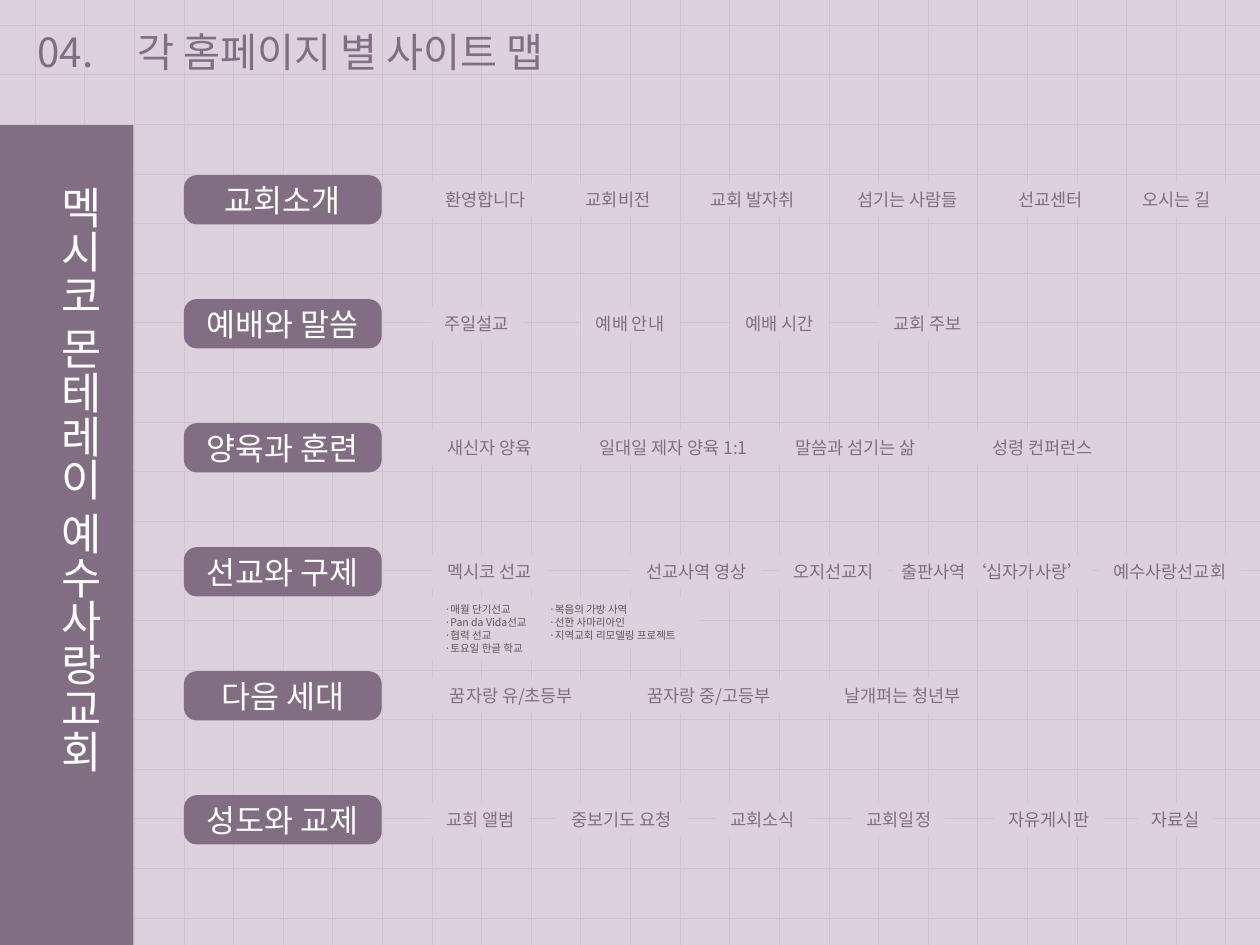
from lxml import etree
from pptx import Presentation
from pptx.dml.color import RGBColor
from pptx.enum.shapes import MSO_CONNECTOR, MSO_SHAPE
from pptx.enum.text import MSO_ANCHOR, MSO_AUTO_SIZE, PP_ALIGN
from pptx.oxml.ns import qn
from pptx.util import Inches, Pt

RECT, ROUND = MSO_SHAPE.RECTANGLE, MSO_SHAPE.ROUNDED_RECTANGLE
STRAIGHT = MSO_CONNECTOR.STRAIGHT
MIDDLE, NO_FIT = MSO_ANCHOR.MIDDLE, MSO_AUTO_SIZE.NONE
LEFT, CENTER = PP_ALIGN.LEFT, PP_ALIGN.CENTER


class Theme:
    font = "Noto Sans CJK KR"
    paper = RGBColor(0xDC, 0xD1, 0xDC)
    grid = RGBColor(0xCF, 0xC5, 0xCF)
    plum = RGBColor(0x82, 0x6E, 0x82)
    white = RGBColor(0xFF, 0xFF, 0xFF)
    gray = RGBColor(0x59, 0x59, 0x59)
    title, church, menu, item, detail = Pt(23), Pt(25), Pt(18), Pt(10), Pt(6)
    detail_line = Pt(7.3)


def add_line(shapes, x1, y1, x2, y2):
    ln = shapes.add_connector(STRAIGHT, Inches(x1), Inches(y1), Inches(x2), Inches(y2))
    ln.line.color.rgb = Theme.grid
    ln.line.width = Pt(0.5)
    etree.SubElement(ln._element.spPr, qn("a:effectLst"))


def write(sp, lines, size, color, align=LEFT, spacing=None):
    tf = sp.text_frame
    tf.word_wrap = False
    tf.auto_size = NO_FIT
    tf.vertical_anchor = MIDDLE
    tf.text = "\n".join(lines)
    for p in tf.paragraphs:
        p.alignment = align
        if spacing:
            p.line_spacing = spacing
        p.font.size = size
        p.font.color.rgb = color
        p.font.name = Theme.font
        etree.SubElement(p._p.pPr.find(qn("a:defRPr")), qn("a:ea"), typeface=Theme.font)


prs = Presentation()
prs.slide_width, prs.slide_height = Inches(10), Inches(7.5)
s = prs.slides.add_slide(prs.slide_layouts[5])
s.background.fill.solid()
s.background.fill.fore_color.rgb = Theme.paper

STEP = 1 / 2.54
HEADER_ROW = 2
grid = s.shapes.add_group_shape()
for i in range(25):
    x = 0.28 + i * STEP
    add_line(grid.shapes, x, 0, x, 7.5)
for i in range(19):
    y = 0.2 + i * STEP
    if i != HEADER_ROW:
        add_line(grid.shapes, -0.01, y, 10.01, y)

bar = s.shapes.add_shape(RECT, 0, Inches(0.99), Inches(1.06), Inches(6.51))
bar.shadow.inherit = False
bar.fill.solid()
bar.fill.fore_color.rgb = Theme.plum
bar.line.fill.background()
add_line(s.shapes, -0.01, 0.99, 10.01, 0.99)

number = s.shapes.add_textbox(Inches(0.2), Inches(0.16), Inches(0.72), Inches(0.49))
write(number, ["04."], Theme.title, Theme.plum)
title = s.shapes.title
title.left, title.top = Inches(0.99), Inches(0.16)
title.width, title.height = Inches(3.66), Inches(0.49)
write(title, ["각 홈페이지 별 사이트 맵"], Theme.title, Theme.plum)
s.shapes._spTree.append(title._element)

church = s.shapes.add_textbox(Inches(0.22), Inches(1.38), Inches(0.62), Inches(4.88))
write(church, ["멕시코 몬테레이 예수사랑교회"], Theme.church, Theme.white)
tf = church.text_frame
tf.vertical_anchor = MSO_ANCHOR.TOP
tf.margin_top, tf.margin_right = Inches(0.1), 0
tf._txBody.bodyPr.set("vert", "eaVert")

menus = [
    ("교회소개", [("환영합니다", 3.42, 0.87), ("교회비전", 4.54, 0.73),
              ("교회 발자취", 5.52, 0.91), ("섬기는 사람들", 6.68, 1.05),
              ("선교센터", 7.97, 0.73), ("오시는 길", 8.95, 0.78)]),
    ("예배와 말씀", [("주일설교", 3.42, 0.73), ("예배 안내", 4.61, 0.78),
                ("예배 시간", 5.8, 0.78), ("교회 주보", 6.97, 0.78)]),
    ("양육과 훈련", [("새신자 양육", 3.43, 0.91), ("일대일 제자 양육 1:1", 4.6, 1.49),
                ("말씀과 섬기는 삶", 6.18, 1.22), ("성령 컨퍼런스", 7.75, 1.05)]),
    ("선교와 구제", [("멕시코 선교", 3.43, 0.91), ("선교사역 영상", 5, 1.05),
                ("오지선교지", 6.18, 0.87), ("출판사역 ‘십자가사랑’", 7.09, 1.58),
                ("예수사랑선교회", 8.72, 1.13)]),
    ("다음 세대", [("꿈자랑 유/초등부", 3.43, 1.26), ("꿈자랑 중/고등부", 5, 1.26),
               ("날개펴는 청년부", 6.57, 1.18)]),
    ("성도와 교제", [("교회 앨범", 3.42, 0.78), ("중보기도 요청", 4.41, 1.05),
                ("교회소식", 5.69, 0.73), ("교회일정", 6.77, 0.73),
                ("자유게시판", 7.89, 0.87), ("자료실", 9.03, 0.6)]),
]
for row, (menu, items) in enumerate(menus):
    top = 1.39 + row * 2.5 * STEP
    pill = s.shapes.add_shape(ROUND, Inches(1.46), Inches(top), Inches(1.57), Inches(0.39))
    pill.adjustments[0] = 0.26
    pill.shadow.inherit = False
    pill.fill.solid()
    pill.fill.fore_color.rgb = Theme.plum
    pill.line.fill.background()
    write(pill, [menu], Theme.menu, Theme.white, CENTER)
    for text, left, width in items:
        sp = s.shapes.add_textbox(Inches(left), Inches(top + 0.06), Inches(width), Inches(0.27))
        sp.fill.solid()
        sp.fill.fore_color.rgb = Theme.paper
        write(sp, [text], Theme.item, Theme.plum, CENTER)

details = [
    (3.43, 0.94, 0.5, ["·매월 단기선교", "·Pan da Vida선교", "·협력 선교", "·토요일 한글 학교"]),
    (4.26, 1.3, 0.4, ["·복음의 가방 사역", "·선한 사마리아인", "·지역교회 리모델링 프로젝트"]),
]
for left, width, height, lines in details:
    sp = s.shapes.add_textbox(Inches(left), Inches(4.74), Inches(width), Inches(height))
    sp.fill.solid()
    sp.fill.fore_color.rgb = Theme.paper
    write(sp, lines, Theme.detail, Theme.gray, LEFT, Theme.detail_line)

prs.save("out.pptx")
